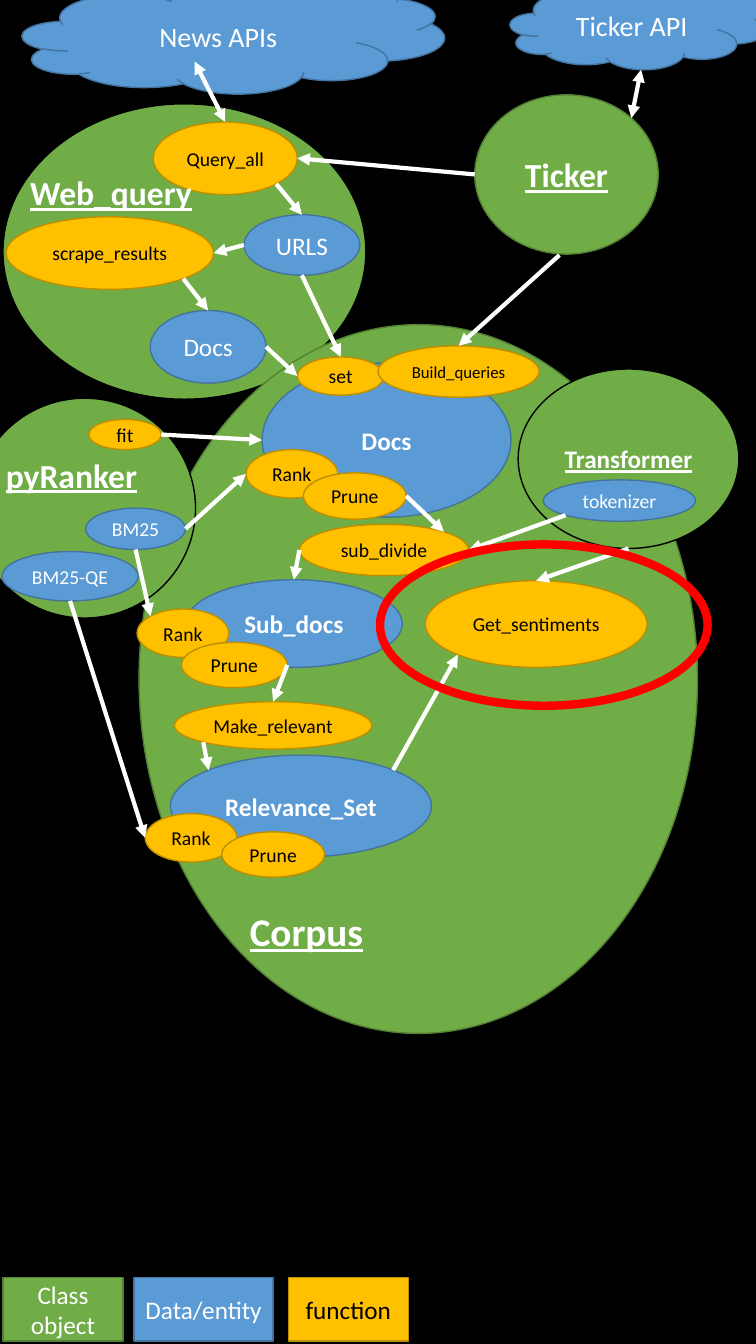
from math import cos, radians, sin

from lxml import etree
from pptx import Presentation
from pptx.dml.color import RGBColor
from pptx.enum.shapes import MSO_CONNECTOR, MSO_SHAPE
from pptx.enum.text import MSO_ANCHOR, PP_ALIGN
from pptx.oxml.ns import qn
from pptx.util import Inches, Pt

ELLIPSE, RECT, CLOUD = MSO_SHAPE.OVAL, MSO_SHAPE.RECTANGLE, MSO_SHAPE.CLOUD
STRAIGHT = MSO_CONNECTOR.STRAIGHT
MIDDLE, CENTER = MSO_ANCHOR.MIDDLE, PP_ALIGN.CENTER

COLORS = {"black": "000000", "white": "FFFFFF", "red": "FF0000",
          "green": "70AD47", "green_edge": "538035",
          "blue": "5B9BD5", "blue_edge": "43739E",
          "gold": "FFC000", "gold_edge": "BD8E00"}
# kind: fill, outline, text colour
KINDS = {"class": ("green", "green_edge", "white"),
         "framed_class": ("green", "black", "white"),
         "data": ("blue", "blue_edge", "white"),
         "function": ("gold", "gold_edge", "black"),
         "backdrop": ("black", "black", "white"),
         "highlight": (None, "red", "white")}
DIRECTIONS = {d: 45 * i for i, d in enumerate(["E", "SE", "S", "SW", "W", "NW", "N", "NE"])}


def rgb(name):
    return RGBColor.from_string(COLORS[name])


def write(shape, text, size, color, bold=False, underline=False):
    paragraph = shape.text_frame.paragraphs[0]
    paragraph.text = text
    font = paragraph.runs[0].font
    font.name, font.size, font.color.rgb = "Calibri", Pt(size), rgb(color)
    font.bold, font.underline = bold, underline
    return paragraph


def add_node(slide, box, kind, text="", size=14, bold=False, underline=False,
             outline=ELLIPSE, line_width=1):
    fill, edge, ink = KINDS[kind]
    node = slide.shapes.add_shape(outline, *map(Inches, box))
    node.shadow.inherit = False
    if fill:
        node.fill.solid()
        node.fill.fore_color.rgb = rgb(fill)
    else:
        node.fill.background()
    node.line.color.rgb, node.line.width = rgb(edge), Pt(line_width)
    if text:
        node.text_frame.word_wrap = outline == RECT
        node.text_frame.vertical_anchor = MIDDLE
        write(node, text, size, ink, bold, underline).alignment = CENTER
    return node


def add_heading(slide, box, text, size=24):
    heading = slide.shapes.add_textbox(*map(Inches, box))
    heading.text_frame.word_wrap = True
    write(heading, text, size, "white", bold=True, underline=True)


def add_members(slide, box, members):
    """Place members by their offset from the box; return them by key."""
    left, top = box[:2]
    return {key: add_node(slide, (left + x, top + y, w, h), kind, text, *style)
            for key, kind, text, (x, y, w, h), *style in members}


def rim_point(node, direction):
    angle = radians(DIRECTIONS[direction])
    return (node.left + node.width / 2 * (1 + cos(angle)),
            node.top + node.height / 2 * (1 + sin(angle)))


def add_arrow(slide, start, end, both_ways=False):
    arrow = slide.shapes.add_connector(STRAIGHT, *map(int, (*start, *end)))
    arrow.line.color.rgb, arrow.line.width = rgb("white"), Pt(3)
    line = arrow.line._get_or_add_ln()
    for tag in ["a:headEnd", "a:tailEnd"] if both_ways else ["a:tailEnd"]:
        etree.SubElement(line, qn(tag), type="triangle")
    etree.SubElement(line.getparent(), qn("a:effectLst"))


def draw_web_query(slide, box):
    add_node(slide, box, "framed_class")
    nodes = add_members(slide, box, [
        ("query_all", "function", "Query_all", (1.49, 0.18, 1.43, 0.72)),
        ("urls", "data", "URLS", (2.39, 1.1, 1.15, 0.6), 18),
        ("scrape", "function", "scrape_results", (0.03, 1.12, 2.06, 0.72)),
        ("web_docs", "data", "Docs", (1.46, 2.05, 1.15, 0.72), 18)])
    add_heading(slide, (box[0] + 0.17, box[1] + 0.63, 1.84, 0.5), "Web_query")
    return nodes


def draw_corpus(slide, box):
    add_node(slide, box, "class")
    nodes = add_members(slide, box, [
        ("docs", "data", "Docs", (1.22, 0.38, 2.47, 1.53), 18, True),
        ("set", "function", "set", (1.57, 0.32, 0.86, 0.38)),
        ("build", "function", "Build_queries", (2.37, 0.21, 1.6, 0.51), 12),
        ("divide", "function", "sub_divide", (1.59, 1.98, 1.68, 0.51)),
        ("sub_docs", "data", "Sub_docs", (0.46, 2.53, 2.15, 0.87), 18, True),
        ("relevance", "data", "Relevance_Set", (0.31, 4.27, 2.59, 1.01), 18, True),
        ("sentiments", "function", "Get_sentiments", (2.84, 2.54, 2.2, 0.86)),
        ("docs_rank", "function", "Rank", (1.06, 1.24, 0.91, 0.48)),
        ("docs_prune", "function", "Prune", (1.63, 1.47, 1.02, 0.46)),
        ("sub_rank", "function", "Rank", (-0.02, 2.82, 0.91, 0.48)),
        ("sub_prune", "function", "Prune", (0.42, 3.15, 1.05, 0.45)),
        ("set_rank", "function", "Rank", (0.06, 4.85, 0.91, 0.48)),
        ("set_prune", "function", "Prune", (0.82, 5.03, 1.02, 0.45)),
        ("relevant", "function", "Make_relevant", (0.35, 3.74, 1.96, 0.47))])
    add_heading(slide, (box[0] + 1, box[1] + 5.73, 1.84, 0.57), "Corpus", 28)
    return nodes


def draw_ranker(slide, box):
    add_node(slide, box, "framed_class")
    nodes = add_members(slide, box, [
        ("fit", "function", "fit", (1.14, 0.21, 0.72, 0.3)),
        ("bm25", "data", "BM25", (1.11, 1.09, 0.99, 0.41)),
        ("bm25_qe", "data", "BM25-QE", (0.28, 1.52, 1.35, 0.49))])
    add_heading(slide, (box[0] + 0.22, box[1] + 0.51, 1.84, 0.5), "pyRanker")
    return nodes


def draw_transformer(slide, box):
    transformer = add_node(slide, box, "framed_class", "Transformer", 18, True, True)
    nodes = add_members(slide, box, [
        ("tokenizer", "data", "tokenizer", (0.25, 1.1, 1.51, 0.41))])
    return {"transformer": transformer, **nodes}


def draw_ticker(slide, box):
    return {"ticker": add_node(slide, box, "class", "Ticker", 24, True, True)}


def draw_sources(slide, box):
    left, top = box[:2]
    clouds = [("news", "News APIs", 0, 4.19, 1.08),
              ("ticker_api", "Ticker API", 4.84, 2.6, 0.84)]
    return {key: add_node(slide, (left + x, top, w, h), "data", text, 20, outline=CLOUD)
            for key, text, x, w, h in clouds}


def draw_legend(slide, box):
    left, top, _, height = box
    for kind, text, x, width in [("class", "Class object", 0, 1.19),
                                 ("data", "Data/entity", 1.3, 1.38),
                                 ("function", "function", 2.83, 1.19)]:
        add_node(slide, (left + x, top, width, height), kind, text, 18, outline=RECT)


def draw_flow(slide, nodes):
    flow = [("query_all", "SE", "urls", "N"), ("urls", "W", "scrape", "E"),
            ("scrape", "SE", "web_docs", "N"), ("ticker", "W", "query_all", "E"),
            ("urls", "S", "set", "N"), ("web_docs", "E", "set", "W"),
            ("fit", "E", "docs", "W"), ("bm25", "E", "docs_rank", "W"),
            ("bm25", "S", "sub_rank", "NW"), ("bm25_qe", "S", "set_rank", "W"),
            ("docs_prune", "E", "divide", "NE"), ("divide", "W", "sub_docs", "N"),
            ("sub_prune", "E", "relevant", "N"), ("relevant", "SW", "relevance", "NW"),
            ("relevance", "NE", "sentiments", "SW"), ("tokenizer", "SW", "divide", "E"),
            ("transformer", "S", "sentiments", "N")]
    for source, leave, target, enter in flow:
        add_arrow(slide, rim_point(nodes[source], leave), rim_point(nodes[target], enter))
    # Links to the outside services and from the ticker
    add_arrow(slide, (Inches(1.93), Inches(0.61)), rim_point(nodes["query_all"], "N"), True)
    add_arrow(slide, rim_point(nodes["ticker_api"], "S"), rim_point(nodes["ticker"], "NE"), True)
    add_arrow(slide, (Inches(5.55), Inches(2.53)), rim_point(nodes["build"], "N"))


def main():
    deck = Presentation()
    deck.slide_width, deck.slide_height = Inches(7.5), Inches(13.33)
    slide = deck.slides.add_slide(deck.slide_layouts[6])
    add_node(slide, (-0.04, 0, 7.53, 13.33), "backdrop", outline=RECT)

    # Regions, from back to front
    regions = [(draw_ticker, (4.71, 0.94, 1.82, 1.58)),
               (draw_web_query, (0.03, 1.03, 3.6, 2.93)),
               (draw_corpus, (1.38, 3.22, 5.54, 7.03)),
               (draw_ranker, (-0.26, 3.95, 2.2, 2.18)),
               (draw_transformer, (5.14, 3.66, 2.19, 1.78)),
               (draw_sources, (0.22, -0.15, 7.44, 1.08))]
    nodes = {}
    for draw, box in regions:
        nodes.update(draw(slide, box))
    draw_legend(slide, (0.03, 12.67, 4.02, 0.63))
    draw_flow(slide, nodes)

    # Ring around the sentiment step
    add_node(slide, (3.77, 5.4, 3.25, 1.6), "highlight", line_width=6)
    deck.save("out.pptx")


if __name__ == "__main__":
    main()
